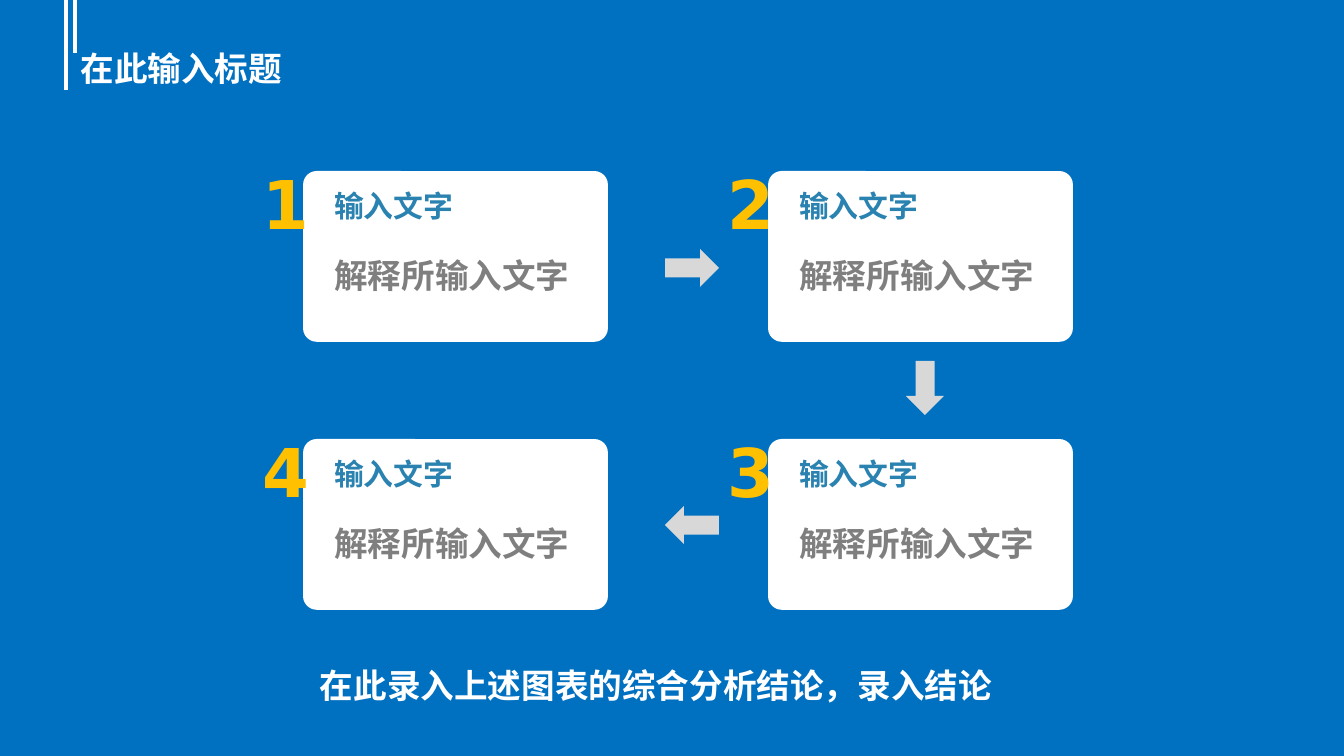
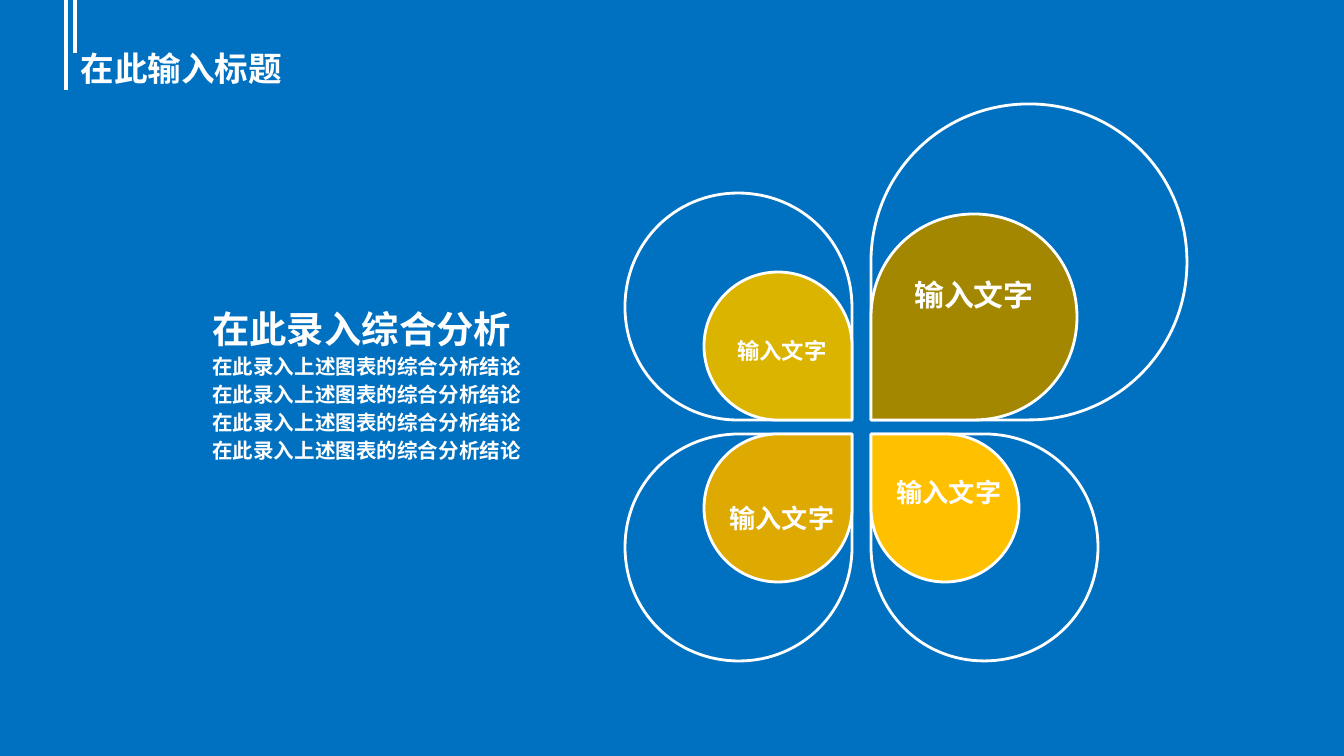
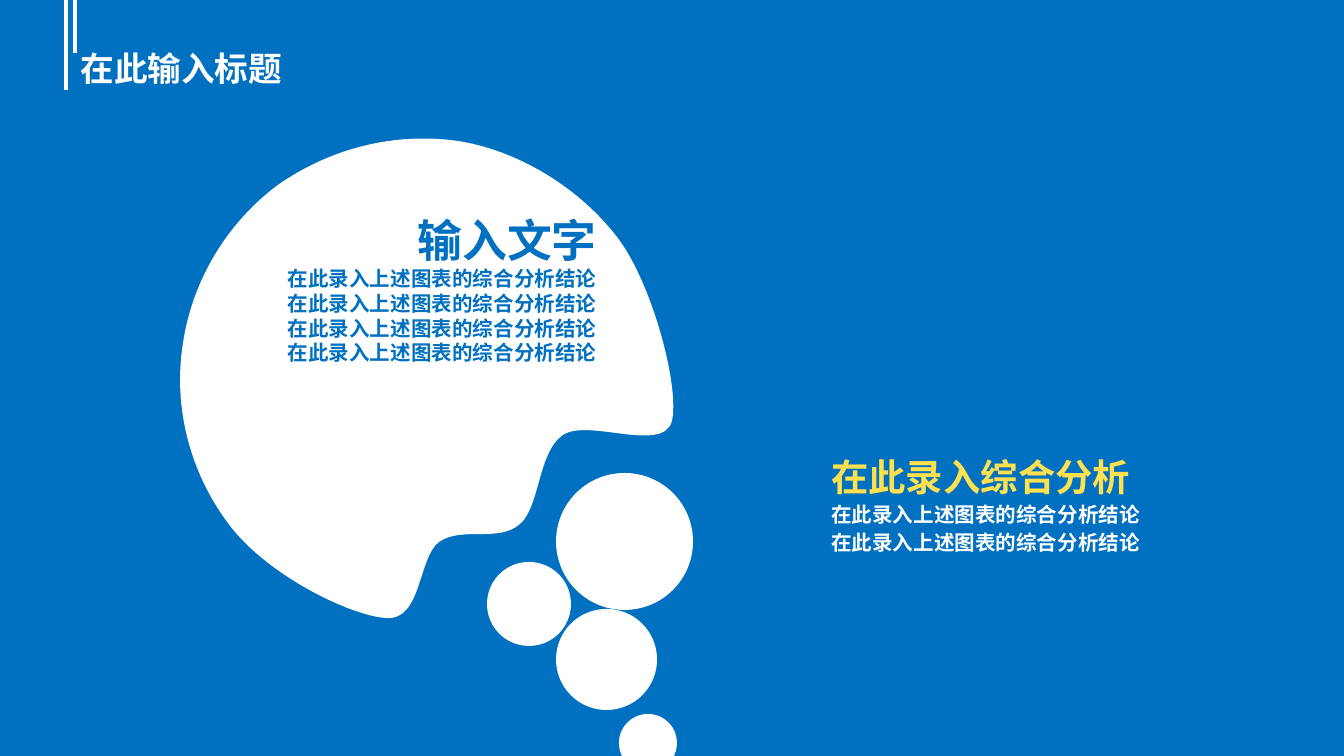
"""Build three blue slides: a four-step flow, a petal diagram and a thought bubble."""
from dataclasses import dataclass

from lxml.etree import SubElement
from pptx import Presentation
from pptx.dml.color import RGBColor as Color
from pptx.enum.shapes import MSO_CONNECTOR as Connector, MSO_SHAPE as Shape
from pptx.enum.text import MSO_ANCHOR as Anchor, MSO_AUTO_SIZE as AutoSize, PP_ALIGN as Align
from pptx.oxml.ns import qn
from pptx.oxml.xmlchemy import OxmlElement
from pptx.util import Pt

PX = 914400 / 134.4


@dataclass(frozen=True)
class Theme:
    blue: str = "0070C0"
    white: str = "FFFFFF"
    gold: str = "FFC000"
    yellow: str = "FFE04F"
    heading: str = "2A82B0"
    grey: str = "7F7F7F"
    arrow: str = "D8D8D8"
    petals: tuple = ("A48700", "FFC000", "DEA900", "DBB400")
    latin: str = "DejaVu Sans"
    chinese: str = "Noto Sans CJK SC"
    number: int = 36
    bubble: int = 24
    summary: int = 20
    title: int = 18
    label: int = 16
    petal_labels: tuple = (16, 14, 14, 12)
    detail: int = 11


theme = Theme()


def px(*lengths):
    return [round(length * PX) for length in lengths]


def write_text(shape, lines, font_name, alignment=Align.LEFT, spacing=None,
               anchor=Anchor.TOP, auto_size=AutoSize.SHAPE_TO_FIT_TEXT):
    frame = shape.text_frame
    frame.word_wrap = True
    frame.auto_size = auto_size
    frame.vertical_anchor = anchor
    for index, (text, size, color) in enumerate(lines):
        paragraph = frame.add_paragraph() if index else frame.paragraphs[0]
        paragraph.alignment = alignment
        paragraph.line_spacing = spacing
        run = paragraph.add_run()
        run.text = text
        run.font.size = Pt(size)
        run.font.bold = True
        run.font.color.rgb = Color.from_string(color)
        run.font.name = font_name
        SubElement(run._r.get_or_add_rPr(), qn("a:ea"), typeface=font_name)


presentation = Presentation()
presentation.slide_width, presentation.slide_height = px(1344, 756)
background = presentation.slide_master.background.fill
background.solid()
background.fore_color.rgb = Color.from_string(theme.blue)

layout = presentation.slide_layouts[5]
for placeholder in list(layout.placeholders):
    if placeholder.placeholder_format.idx:
        layout.shapes.element.remove(placeholder.element)
title = layout.placeholders[0]
title.left, title.top, title.width, title.height = px(67, 31, 1210, 75)

slides = [presentation.slides.add_slide(layout) for _ in range(3)]
for slide in slides:
    write_text(slide.shapes.title, [("在此输入标题", theme.title, theme.white)], theme.latin,
               anchor=Anchor.MIDDLE, auto_size=AutoSize.NONE)
flow_slide, petal_slide, bubble_slide = slides

title_bars = []
for x, bottom in ((66, 90), (75, 53)):
    bar = flow_slide.shapes.add_connector(Connector.STRAIGHT, *px(x, 0, x, bottom))
    bar.line.color.rgb = Color.from_string(theme.white)
    bar.line.width = Pt(2.25)
    SubElement(bar.element.spPr, qn("a:effectLst"))
    title_bars.append(bar)
for bar in title_bars:
    layout.shapes.element.append(bar.element)

PETAL = [(50, 0), (22, 0), (0, 22), (0, 50), (0, 100), (0, 100), (0, 100),
         (50, 100), (50, 100), (50, 100), (78, 100), (100, 78), (100, 50),
         (100, 22), (78, 0), (50, 0)]
BUBBLE = [(520, 524), (499, 543), (462, 526), (439, 542), (418, 558), (422, 621), (386, 618),
          (351, 616), (266, 575), (228, 523), (190, 472), (173, 407), (183, 344),
          (192, 281), (227, 223), (278, 185), (331, 148), (395, 132), (458, 141),
          (521, 151), (581, 190), (617, 237), (652, 282), (680, 387), (672, 421),
          (663, 454), (589, 418), (563, 435), (538, 452), (540, 507), (520, 524)]

outlines = [(bubble_slide, BUBBLE, 0, theme.white, None)]
for sizes, fills in (((316, 227, 227, 227), (None,) * 4),
                     ((206, 148, 148, 148), theme.petals)):
    for quadrant, (size, fill) in enumerate(zip(sizes, fills)):
        left = 871 if quadrant < 2 else 852 - size
        top = 434 if quadrant in (1, 2) else 420 - size
        points = [(left + x * size / 100, top + y * size / 100) for x, y in PETAL]
        outlines.append((petal_slide, points, quadrant * 90, fill, theme.white))

for slide, points, rotation, fill, line_color in outlines:
    builder = slide.shapes.build_freeform(*points[0], scale=PX)
    builder.add_line_segments(points[1:], close=True)
    outline = builder.convert_to_shape()
    outline.rotation = rotation
    outline.shadow.inherit = False
    segments = list(outline.element.iter(qn("a:lnTo")))
    for start in range(0, len(points) - 1, 3):
        curve = OxmlElement("a:cubicBezTo")
        segments[start].addprevious(curve)
        for segment in segments[start:start + 3]:
            curve.append(segment[0])
            segment.getparent().remove(segment)
    if fill:
        outline.fill.solid()
        outline.fill.fore_color.rgb = Color.from_string(fill)
    else:
        outline.fill.background()
    if line_color:
        outline.line.color.rgb = Color.from_string(line_color)
        outline.line.width = Pt(1.5)
    else:
        outline.line.fill.background()

for x, y, rotation in ((665, 249, 0), (898, 369, 90), (665, 506, 180)):
    arrow = flow_slide.shapes.add_shape(Shape.RIGHT_ARROW, *px(x, y, 54, 38))
    arrow.rotation = rotation
    arrow.shadow.inherit = False
    arrow.fill.solid()
    arrow.fill.fore_color.rgb = Color.from_string(theme.arrow)
    arrow.line.fill.background()

for number, (x, y) in enumerate(((305, 173), (770, 173), (770, 441), (305, 441)), 1):
    shapes = flow_slide.shapes.add_group_shape().shapes
    card = shapes.add_shape(Shape.ROUNDED_RECTANGLE, *px(x, y, 301, 167))
    card.adjustments[0] = 0.07
    card.shadow.inherit = False
    card.fill.solid()
    card.fill.fore_color.rgb = Color.from_string(theme.white)
    card.line.color.rgb = Color.from_string(theme.white)
    card.line.width = Pt(2)
    write_text(shapes.add_textbox(*px(x - 56, y - 17, 370, 94)),
               [(str(number), theme.number, theme.gold)], theme.latin, anchor=Anchor.MIDDLE)
    write_text(shapes.add_textbox(*px(x + 16, y + 75, 264, 54)),
               [("解释所输入文字", theme.title, theme.grey)], theme.latin)
    write_text(shapes.add_textbox(*px(x + 16, y + 8, 183, 50)),
               [("输入文字", theme.label, theme.heading)], theme.latin)

write_text(flow_slide.shapes.add_textbox(*px(105, 653, 1102, 59)),
           [("在此录入上述图表的综合分析结论，录入结论", theme.title, theme.white)],
           theme.chinese, Align.CENTER, 1.14)

label_places = ((896, 270, 50), (871, 470, 46), (704, 496, 46), (704, 331, 40))
for (x, y, height), size in zip(label_places, theme.petal_labels):
    write_text(petal_slide.shapes.add_textbox(*px(x, y, 156, height)),
               [("输入文字", size, theme.white)], theme.chinese, Align.CENTER)

for x, y, diameter in ((556, 473, 137), (619, 714, 58), (487, 562, 84), (556, 609, 101)):
    circle = bubble_slide.shapes.add_shape(Shape.OVAL, *px(x, y, diameter, diameter))
    circle.shadow.inherit = False
    circle.fill.solid()
    circle.fill.fore_color.rgb = Color.from_string(theme.white)
    circle.line.fill.background()

DETAIL = "在此录入上述图表的综合分析结论"
SUMMARY = "在此录入综合分析"
for slide, box, heading, detail_color, count, font_name, alignment, spacing in (
        (petal_slide, (199, 293, 410, 177), (SUMMARY, theme.summary, theme.white),
         theme.white, 4, theme.chinese, Align.LEFT, 1.14),
        (bubble_slide, (253, 206, 357, 167), ("输入文字", theme.bubble, theme.blue),
         theme.blue, 4, theme.latin, Align.RIGHT, None),
        (bubble_slide, (818, 441, 410, 121), (SUMMARY, theme.summary, theme.yellow),
         theme.white, 2, theme.chinese, Align.LEFT, 1.14)):
    write_text(slide.shapes.add_textbox(*px(*box)),
               [heading] + [(DETAIL, theme.detail, detail_color)] * count,
               font_name, alignment, spacing)

presentation.save("out.pptx")
